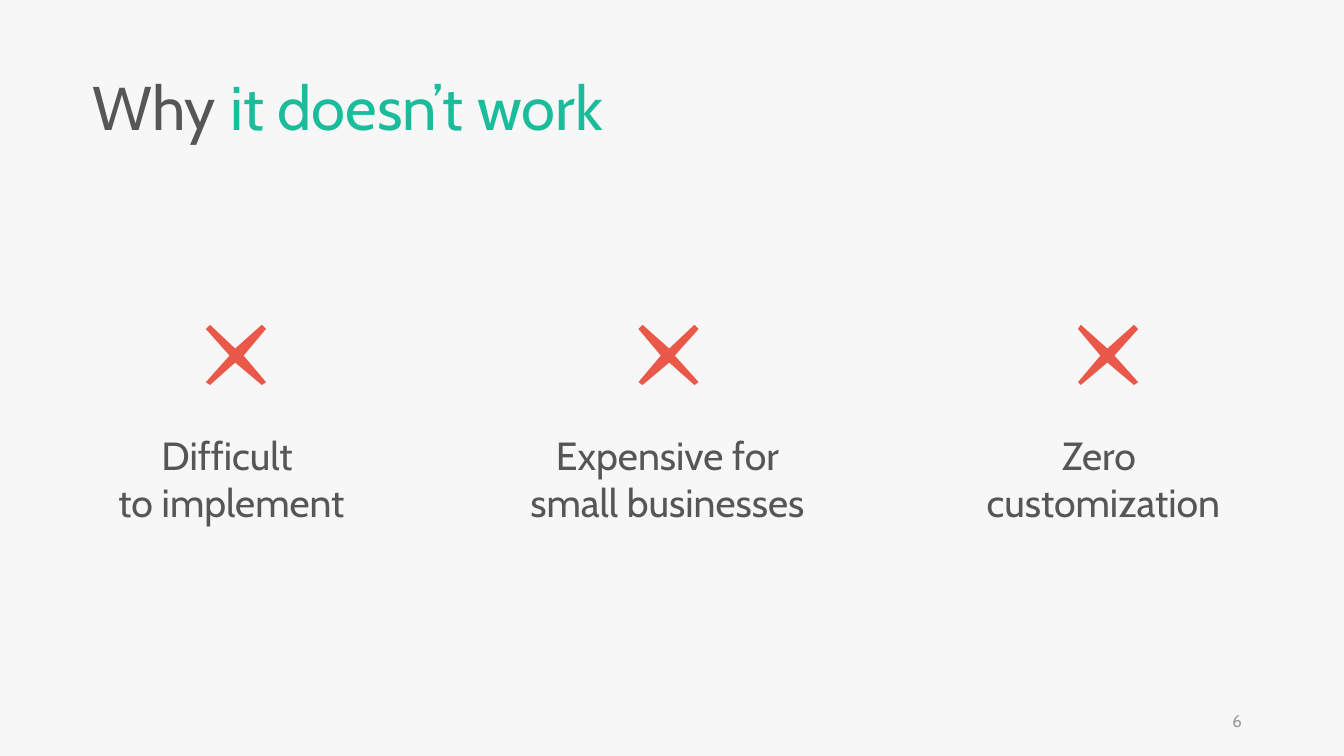
from dataclasses import dataclass

from pptx import Presentation
from pptx.dml.color import RGBColor
from pptx.enum.text import MSO_ANCHOR, PP_ALIGN
from pptx.util import Pt

CENTER, RIGHT = PP_ALIGN.CENTER, PP_ALIGN.RIGHT
TOP, MIDDLE = MSO_ANCHOR.TOP, MSO_ANCHOR.MIDDLE


@dataclass(frozen=True)
class Theme:
    font: str = "Cabin"
    background: RGBColor = RGBColor(0xF7, 0xF7, 0xF7)
    text: RGBColor = RGBColor(0x56, 0x56, 0x56)
    accent: RGBColor = RGBColor(0x1A, 0xBC, 0x9C)
    cross: RGBColor = RGBColor(0xE9, 0x58, 0x49)
    muted: RGBColor = RGBColor(0x9A, 0x9A, 0x9A)
    title_size: int = 44
    reason_size: int = 28
    number_size: int = 12


THEME = Theme()
# Label, and centre of its cross from the left of the column
REASONS = [
    ("Difficult \vto implement", 102.3),
    ("Expensive for small businesses", 99.9),
    ("Zero \vcustomization", 102.3),
]


def add_text(s, box, size, color, text="", align=None, anchor=TOP, inset=0):
    """Add a one-paragraph text box and return the paragraph."""
    tf = s.shapes.add_textbox(*map(Pt, box)).text_frame
    tf.word_wrap = True
    tf.vertical_anchor = anchor
    tf.margin_left = Pt(inset)
    p = tf.paragraphs[0]
    p.text = text
    p.alignment = align
    p.font.name = THEME.font
    p.font.size = Pt(size)
    p.font.color.rgb = color
    return p


def add_title(s, box):
    p = add_text(s, box, THEME.title_size, THEME.text)
    p.line_spacing = 0.9
    p.add_run().text = "Why "
    r = p.add_run()
    r.text = "it doesn’t work"
    r.font.color.rgb = THEME.accent


def add_cross(s, cx, cy, half=21.4, bar=2.5):
    """Draw a diagonal cross; bar is half the bar width along an axis."""
    tip = half - bar
    # One arm, turned by a quarter three times
    arm = [(half, -tip), (tip, -half), (0, -2 * bar)]
    points = []
    for _ in range(4):
        points += [(cx + x, cy + y) for x, y in arm]
        arm = [(y, -x) for x, y in arm]
    fb = s.shapes.build_freeform(*points[0], scale=Pt(1))
    fb.add_line_segments(points[1:], close=True)
    sp = fb.convert_to_shape()
    sp.shadow.inherit = False
    sp.fill.solid()
    sp.fill.fore_color.rgb = THEME.cross
    sp.line.fill.background()


def add_reasons(s, box, column_width=205.2):
    """Spread the reasons evenly over the box, cross above label."""
    left, top, width, height = box
    step = (width - column_width) / (len(REASONS) - 1)
    label_height = 75
    for i, (label, cross_offset) in enumerate(REASONS):
        x = left + i * step
        add_cross(s, x + cross_offset, top + 21.4)
        add_text(s, (x, top + height - label_height, column_width, label_height),
                 THEME.reason_size, THEME.text, label, CENTER)


def add_slide_number(s, box, number):
    add_text(s, box, THEME.number_size, THEME.muted, str(number),
             RIGHT, MIDDLE, inset=7.2)


def main():
    prs = Presentation()
    prs.slide_width, prs.slide_height = Pt(960), Pt(540)
    s = prs.slides.add_slide(prs.slide_layouts[6])
    s.background.fill.solid()
    s.background.fill.fore_color.rgb = THEME.background

    add_title(s, (66.2, 51.8, 409.7, 103))
    add_reasons(s, (66.2, 232.5, 828, 147))
    add_slide_number(s, (678.2, 500.4, 216, 28.8), 6)
    prs.save("out.pptx")


if __name__ == "__main__":
    main()
